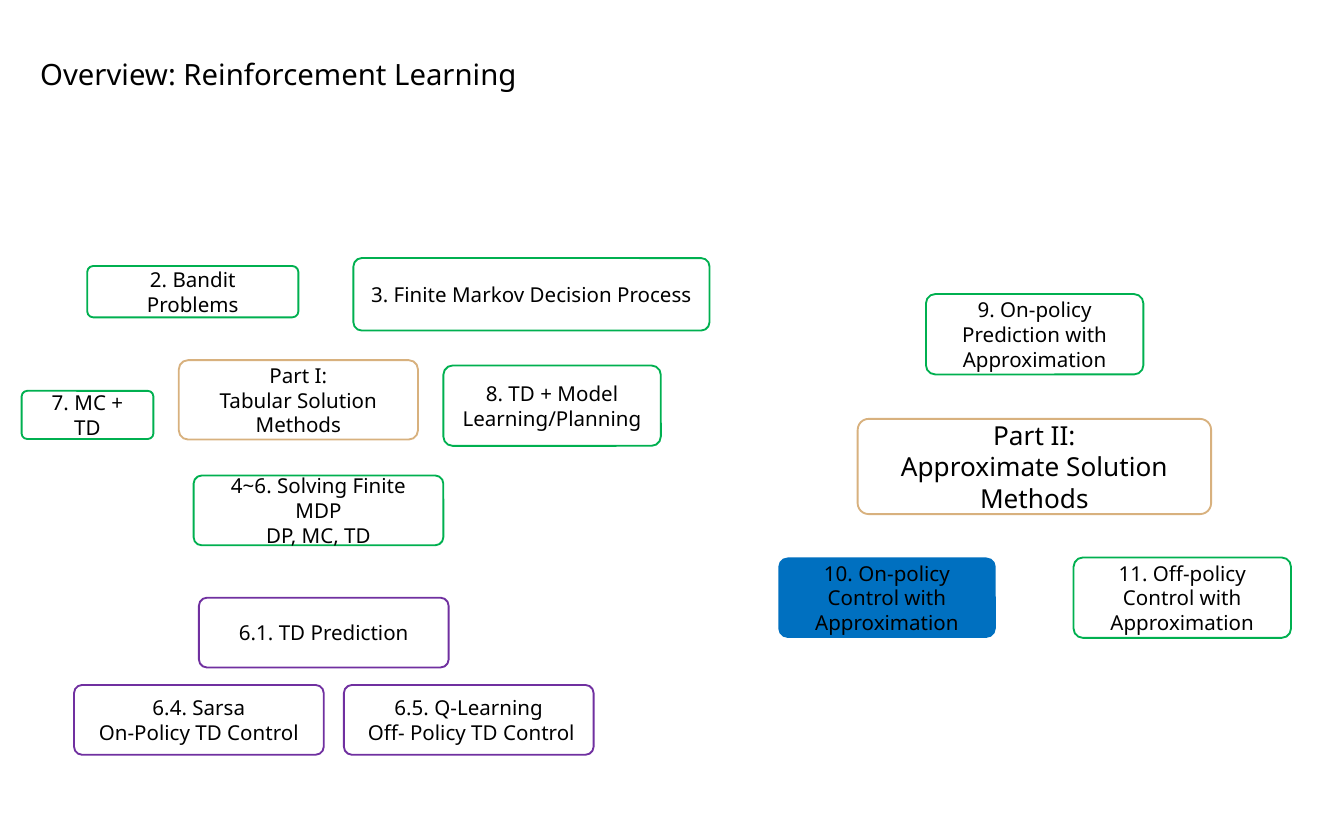
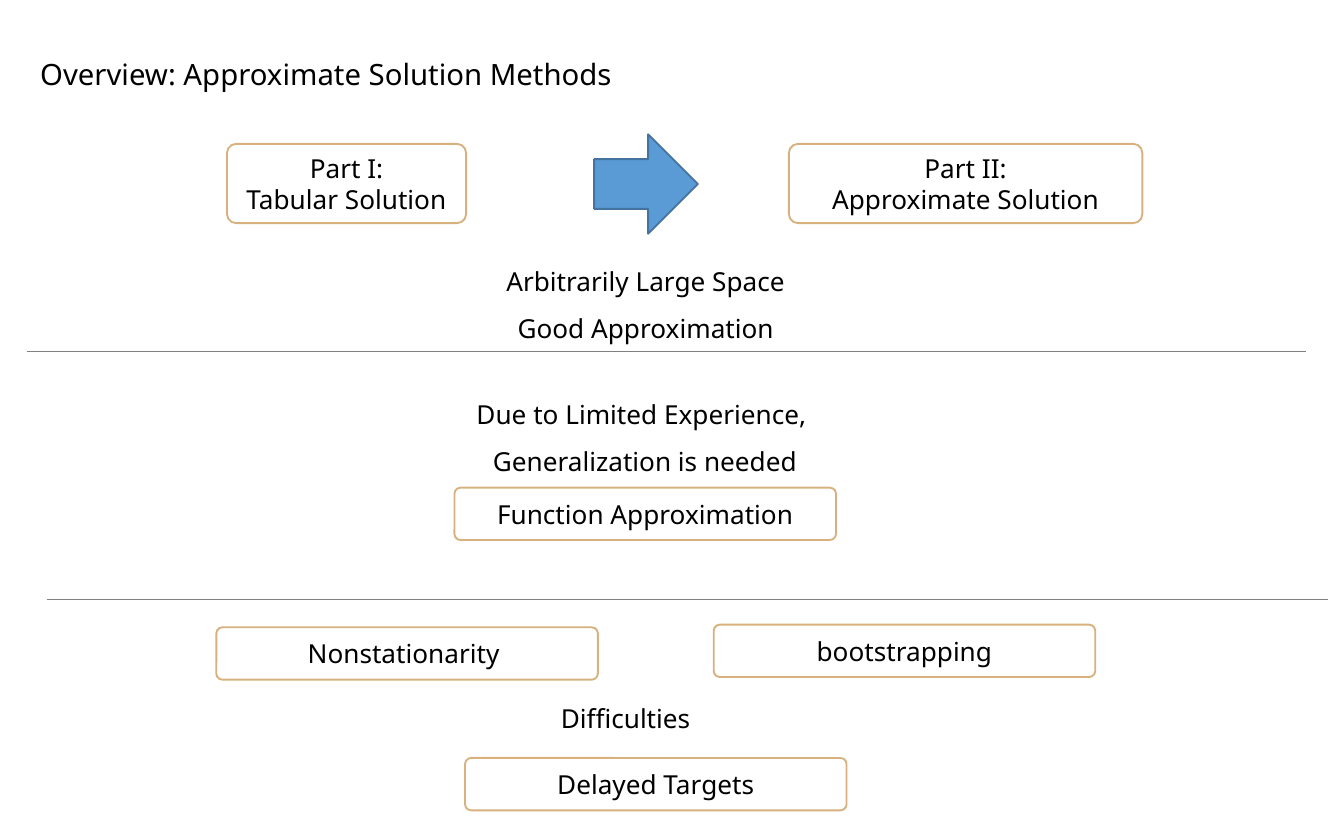
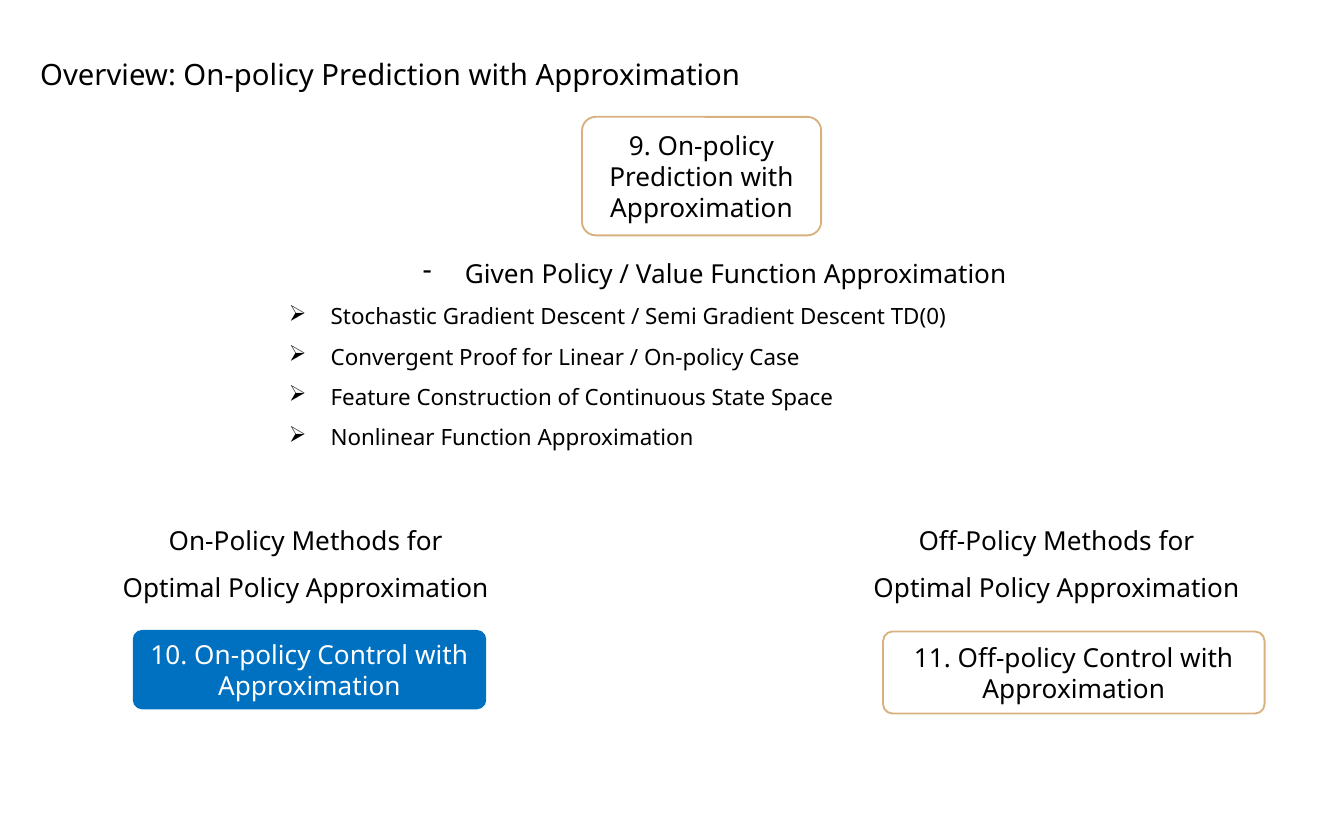
from lxml.etree import SubElement
from pptx import Presentation
from pptx.dml.color import RGBColor
from pptx.enum.shapes import MSO_CONNECTOR, MSO_SHAPE
from pptx.enum.text import MSO_ANCHOR, MSO_AUTO_SIZE, PP_ALIGN
from pptx.oxml.ns import qn
from pptx.util import Cm, Pt

# Shared style
BLACK = RGBColor(0x00, 0x00, 0x00)
WHITE = RGBColor(0xFF, 0xFF, 0xFF)
SAND = RGBColor(0xD8, 0xB1, 0x7E)
GREEN = RGBColor(0x00, 0xB0, 0x50)
PURPLE = RGBColor(0x70, 0x30, 0xA0)
CURRENT = RGBColor(0x00, 0x70, 0xC0)
ARROW_FILL = RGBColor(0x5B, 0x9B, 0xD5)
ARROW_LINE = RGBColor(0x43, 0x73, 0x9E)
RULE_GREY = RGBColor(0x80, 0x80, 0x80)
FONT = "Noto Sans"
SMALL, LIST, LARGE, TITLE = 11, 12, 14, 15.7
BOX_ROUNDING = 0.116

# Sizes that several boxes share, in centimetres
PART_ONE = (4.52, 1.5)
PART_TWO = (6.68, 1.5)
CHAPTER = (4.11, 1.52)
METHOD = (4.72, 1.32)
TOPIC = (7.21, 0.99)


def write(frame, lines, size, colour=BLACK, align=PP_ALIGN.CENTER, spacing=None):
    """Fill a text frame, one paragraph a line; a newline is a line break."""
    frame.word_wrap = True
    for index, line in enumerate(lines):
        para = frame.paragraphs[0] if index == 0 else frame.add_paragraph()
        para.alignment = align
        para.line_spacing = spacing
        for part_index, part in enumerate(line.split("\n")):
            if part_index:
                para.add_line_break()
            span = para.add_run()
            span.text = part
            span.font.name = FONT
            span.font.size = Pt(size)
            span.font.color.rgb = colour


def add_text(page, place, lines, size, **style):
    """Add a text box at (left, top, width, height) in centimetres."""
    box = page.shapes.add_textbox(*[Cm(length) for length in place])
    write(box.text_frame, lines, size, **style)
    return box.text_frame


# Each slide: title, rounded boxes (left, top, size, colour, text size, lines)
# and centred texts (left, top, width, height, lines)
slides = [
    ("Overview: Reinforcement Learning", [
        (3.38, 6.81, PART_ONE, SAND, SMALL, ["Part I:", "Tabular Solution Methods"]),
        (1.65, 5.03, (3.99, 0.97), GREEN, SMALL, ["2. Bandit Problems"]),
        (6.68, 4.88, (6.73, 1.37), GREEN, SMALL, ["3. Finite Markov Decision Process"]),
        (3.66, 8.99, METHOD, GREEN, SMALL, ["4~6. Solving Finite MDP", "DP, MC, TD"]),
        (0.41, 7.39, (2.49, 0.91), GREEN, SMALL, ["7. MC + TD"]),
        (8.38, 6.91, CHAPTER, GREEN, SMALL, ["8. TD + Model Learning/Planning"]),
        (16.21, 7.92, (6.68, 1.8), SAND, LARGE, ["Part II:", "Approximate Solution Methods"]),
        (17.5, 5.56, CHAPTER, GREEN, SMALL, ["9. On-policy Prediction with Approximation"]),
        (14.71, 10.54, CHAPTER, CURRENT, SMALL, ["10. On-policy Control with Approximation"]),
        (20.29, 10.54, CHAPTER, GREEN, SMALL, ["11. Off-policy Control with Approximation"]),
        (3.76, 11.3, METHOD, PURPLE, SMALL, ["6.1. TD Prediction"]),
        (1.4, 12.95, METHOD, PURPLE, SMALL, ["6.4. Sarsa\nOn-Policy TD Control"]),
        (6.5, 12.95, METHOD, PURPLE, SMALL, ["6.5. Q-Learning\n Off- Policy TD Control"]),
    ], []),
    ("Overview: Approximate Solution Methods", [
        (4.29, 2.72, PART_ONE, SAND, LARGE, ["Part I:", "Tabular Solution"]),
        (14.91, 2.72, PART_TWO, SAND, LARGE, ["Part II:", "Approximate Solution"]),
        (8.59, 9.22, TOPIC, SAND, LARGE, ["Function Approximation"]),
        (4.09, 11.86, TOPIC, SAND, LARGE, ["Nonstationarity "]),
        (13.49, 11.81, TOPIC, SAND, LARGE, ["bootstrapping"]),
        (8.79, 14.33, TOPIC, SAND, LARGE, ["Delayed Targets"]),
    ], [
        (8.56, 4.6, 7.29, 2.06, ["Arbitrarily Large Space", "Good Approximation"]),
        (4.67, 7.11, 15.04, 2.06, ["Due to Limited Experience, ", "Generalization is needed"]),
        (4.37, 12.85, 15.04, 1.07, ["Difficulties "]),
    ]),
    ("Overview: On-policy Prediction with Approximation", [
        (11, 2.21, (4.52, 2.24), SAND, LARGE, ["9. On-policy Prediction with Approximation"]),
        (2.51, 11.91, PART_TWO, CURRENT, LARGE, ["10. On-policy Control with Approximation"]),
        (16.69, 11.94, (7.21, 1.55), SAND, LARGE, ["11. Off-policy Control with Approximation"]),
    ], [
        (-0.3, 9.5, 12.29, 2.06, ["On-Policy Methods for ", "Optimal Policy Approximation "]),
        (13.89, 9.5, 12.29, 2.06, ["Off-Policy Methods for ", "Optimal Policy Approximation "]),
    ]),
]

deck = Presentation()
deck.slide_width, deck.slide_height = Cm(25.4), Cm(15.88)
pages = []

# Titles, boxes and centred texts
for title, boxes, texts in slides:
    page = deck.slides.add_slide(deck.slide_layouts[6])
    pages.append(page)
    frame = add_text(page, (0.51, 1.12, 18.01, 0.74), [title], TITLE,
                     align=PP_ALIGN.LEFT, spacing=0.7)
    frame.paragraphs[0].space_before = Pt(7.5)

    for left, top, (width, height), colour, size, lines in boxes:
        box = page.shapes.add_shape(MSO_SHAPE.ROUNDED_RECTANGLE,
                                    Cm(left), Cm(top), Cm(width), Cm(height))
        box.adjustments[0] = BOX_ROUNDING
        box.shadow.inherit = False
        text_colour = BLACK
        if colour == CURRENT:
            box.fill.solid()
            box.fill.fore_color.rgb = colour
            box.line.fill.background()
            if size == LARGE:
                text_colour = WHITE
        else:
            box.fill.background()
            box.line.color.rgb = colour
            box.line.width = Pt(1)
        box.text_frame.vertical_anchor = MSO_ANCHOR.MIDDLE
        write(box.text_frame, lines, size, text_colour)

    for *place, lines in texts:
        frame = add_text(page, place, lines, LARGE, spacing=1.5)
        frame.auto_size = MSO_AUTO_SIZE.SHAPE_TO_FIT_TEXT

overview, methods, prediction = pages

# Arrow from part I to part II
arrow = methods.shapes.add_shape(MSO_SHAPE.RIGHT_ARROW, Cm(11.23), Cm(2.54), Cm(1.96), Cm(1.88))
arrow.shadow.inherit = False
arrow.fill.solid()
arrow.fill.fore_color.rgb = ARROW_FILL
arrow.line.color.rgb = ARROW_LINE
arrow.line.width = Pt(1)

# Rules between the sections
for start, end, y in [(0.51, 24.69, 6.65), (0.89, 25.1, 11.33)]:
    rule = methods.shapes.add_connector(MSO_CONNECTOR.STRAIGHT, Cm(start), Cm(y), Cm(end), Cm(y))
    rule.line.color.rgb = RULE_GREY
    rule.line.width = Pt(0.5)
    SubElement(rule.element.spPr, qn("a:effectLst"))

# Bulleted list of the prediction topics
frame = add_text(prediction, (5.21, 4.45, 16.61, 4.24), [
    "Given Policy / Value Function Approximation",
    "Stochastic Gradient Descent / Semi Gradient Descent TD(0)",
    "Convergent Proof for Linear / On-policy Case ",
    "Feature Construction of Continuous State Space",
    "Nonlinear Function Approximation ",
], LIST, align=PP_ALIGN.LEFT, spacing=1.5)
frame.auto_size = MSO_AUTO_SIZE.SHAPE_TO_FIT_TEXT
heading = frame.paragraphs[0]
heading.alignment = PP_ALIGN.CENTER
heading.runs[0].font.size = Pt(LARGE)
for index, para in enumerate(frame.paragraphs):
    properties = para._p.get_or_add_pPr()
    properties.set("marL", str(Cm(0.79)))
    properties.set("indent", str(-Cm(0.79)))
    SubElement(properties, qn("a:buChar")).set("char", "➢" if index else "-")

deck.save("out.pptx")
